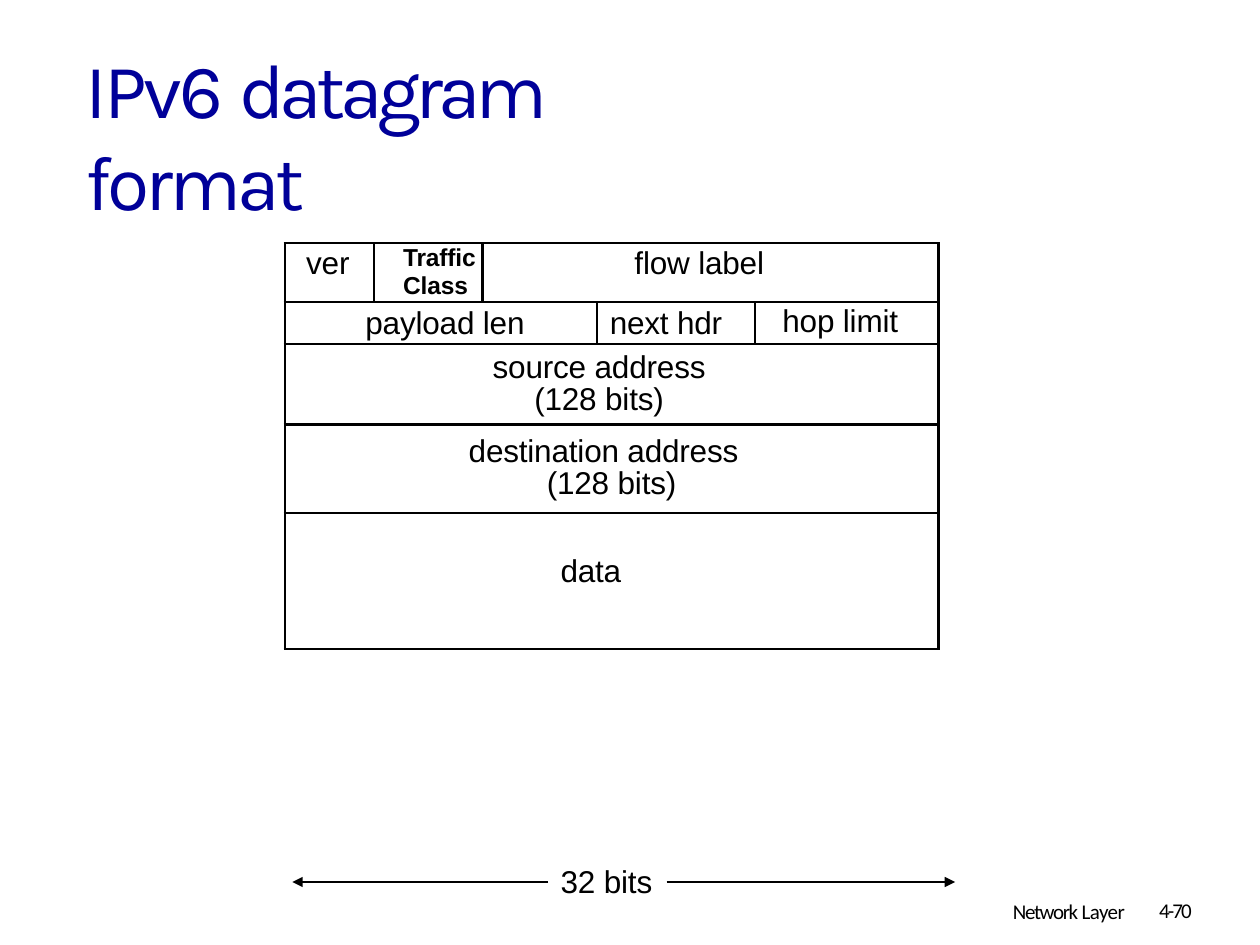
import lxml.etree
import pptx
import pptx.dml.color
import pptx.enum.shapes
import pptx.enum.text
import pptx.oxml
import pptx.oxml.ns
import pptx.util

Inches = pptx.util.Inches
Pt = pptx.util.Pt
qn = pptx.oxml.ns.qn
ALIGN = pptx.enum.text.PP_ALIGN
BLACK = pptx.dml.color.RGBColor(0, 0, 0)
NAVY = pptx.dml.color.RGBColor(0, 0, 0x99)


def write(frame, parts, size=18, font="Arial", color=BLACK, bold=False,
          align=ALIGN.LEFT, before=0, line=None, left=0, first=0):
    para = frame.paragraphs[0]
    para.alignment = align
    para.space_before = Pt(before)
    if line:
        para.line_spacing = Pt(line)
    props = para._p.get_or_add_pPr()
    props.set("marL", str(Inches(left)))
    props.set("indent", str(Inches(first)))
    for text, space in parts:
        for row, piece in enumerate(text.split("\n")):
            if row:
                para.add_line_break()
            run = para.add_run()
            run.text = piece
            run.font.size = Pt(size)
            run.font.name = font
            run.font.bold = bold
            run.font.color.rgb = color
            run._r.get_or_add_rPr().set("spc", str(round(space * 100)))


def setup(frame, top):
    frame.word_wrap = True
    frame.auto_size = pptx.enum.text.MSO_AUTO_SIZE.NONE
    frame.vertical_anchor = pptx.enum.text.MSO_ANCHOR.TOP
    frame.margin_left = frame.margin_right = frame.margin_bottom = 0
    frame.margin_top = Inches(top)


deck = pptx.Presentation()
deck.slide_width = Inches(10)
deck.slide_height = Inches(7.5)
slide = deck.slides.add_slide(deck.slide_layouts[5])

title = slide.shapes.title
title.left, title.top = Inches(0.67), Inches(0.32)
title.width, title.height = Inches(5.35), Inches(0.76)
setup(title.text_frame, 0.01)
write(title.text_frame, [("IPv6 ", -1.7), ("datagram ", -3), ("format", -2.4)],
      size=44, font="Karla", color=NAVY, before=1, left=0.01)

widths = [0.71, 0.86, 0.91, 1.25, 1.46]
heights = [0.47, 0.33, 0.64, 0.7, 1.08]
grid = slide.shapes.add_table(len(heights), len(widths), Inches(2.26), Inches(1.93),
                              Inches(sum(widths)), Inches(sum(heights))).table
grid.first_row = grid.horz_banding = False
for col, width in zip(grid.columns, widths):
    col.width = Inches(width)
for row, height in zip(grid.rows, heights):
    row.height = Inches(height)

for cell in grid.iter_cells():
    props = cell._tc.get_or_add_tcPr()
    for side in ("a:lnL", "a:lnR", "a:lnT", "a:lnB"):
        edge = lxml.etree.SubElement(props, qn(side), w=str(Pt(1.5)))
        fill = lxml.etree.SubElement(edge, qn("a:solidFill"))
        lxml.etree.SubElement(fill, qn("a:srgbClr"), val=str(BLACK))
    cell.fill.background()
    cell.margin_left = cell.margin_right = cell.margin_bottom = cell.margin_top = 0

fields = [
    (0, 0, 0, "ver", 0.02, 0, dict(left=0.17, before=1.1)),
    (0, 1, 1, "Traffic Class", 0.01, 0, dict(left=0.93 - 0.7, before=0.5, size=14, bold=True)),
    (0, 2, 4, "flow label", 0.02, 0.18, dict(align=ALIGN.CENTER, before=1.6)),
    (1, 0, 2, "payload len", 0.01, 0, dict(left=0.64, before=1, line=21.5)),
    (1, 3, 3, "next hdr", 0.02, 0, dict(left=0.1, before=1.6, line=20.9)),
    (1, 4, 4, "hop limit", 0.01, 0, dict(left=0.22, before=0.5)),
    (2, 0, 4, "source address\n(128 bits)", 0.07, 0.2,
     dict(align=ALIGN.CENTER, before=5.2, line=18.4)),
    (3, 0, 4, "destination address\n(128 bits)", 0.1, 0,
     dict(left=2.08, first=-0.62, before=7.2, line=18.3)),
    (4, 0, 4, "data", 0.33, 0.33, dict(align=ALIGN.CENTER)),
]
for row, start, end, text, top, right, style in fields:
    cell = grid.cell(row, start)
    if end > start:
        cell.merge(grid.cell(row, end))
    cell.margin_top = Inches(top)
    cell.margin_right = Inches(right)
    write(cell.text_frame, [(text, -0.1)], **style)

for start, end in ((4.35, 2.32), (5.29, 7.58)):
    arrow = slide.shapes.add_connector(pptx.enum.shapes.MSO_CONNECTOR.STRAIGHT,
                                       Inches(start), Inches(7), Inches(end), Inches(7))
    arrow.line.color.rgb = BLACK
    arrow.line.width = Pt(0.7)
    lxml.etree.SubElement(arrow.line._get_or_add_ln(), qn("a:tailEnd"), type="triangle")
    lxml.etree.SubElement(arrow._element.spPr, qn("a:effectLst"))

small = dict(size=12, font="Calibri", before=1.8)
labels = [
    (4.44, 6.83, 0.76, 0.33, 0.01, [("32 bits", -0.1)], dict(before=1)),
    (8.03, 7.1, 1.1, 0.25, 0.03, [("Network ", -0.8), ("Layer", -0.3)], small),
    (9.19, 7.09, 0.39, 0.25, 0.03, [("4-70", -1.1)], small),
]
for left, top, width, height, inset, parts, style in labels:
    box = slide.shapes.add_textbox(Inches(left), Inches(top), Inches(width), Inches(height))
    setup(box.text_frame, inset)
    write(box.text_frame, parts, left=0.01, **style)

deck.save("out.pptx")
